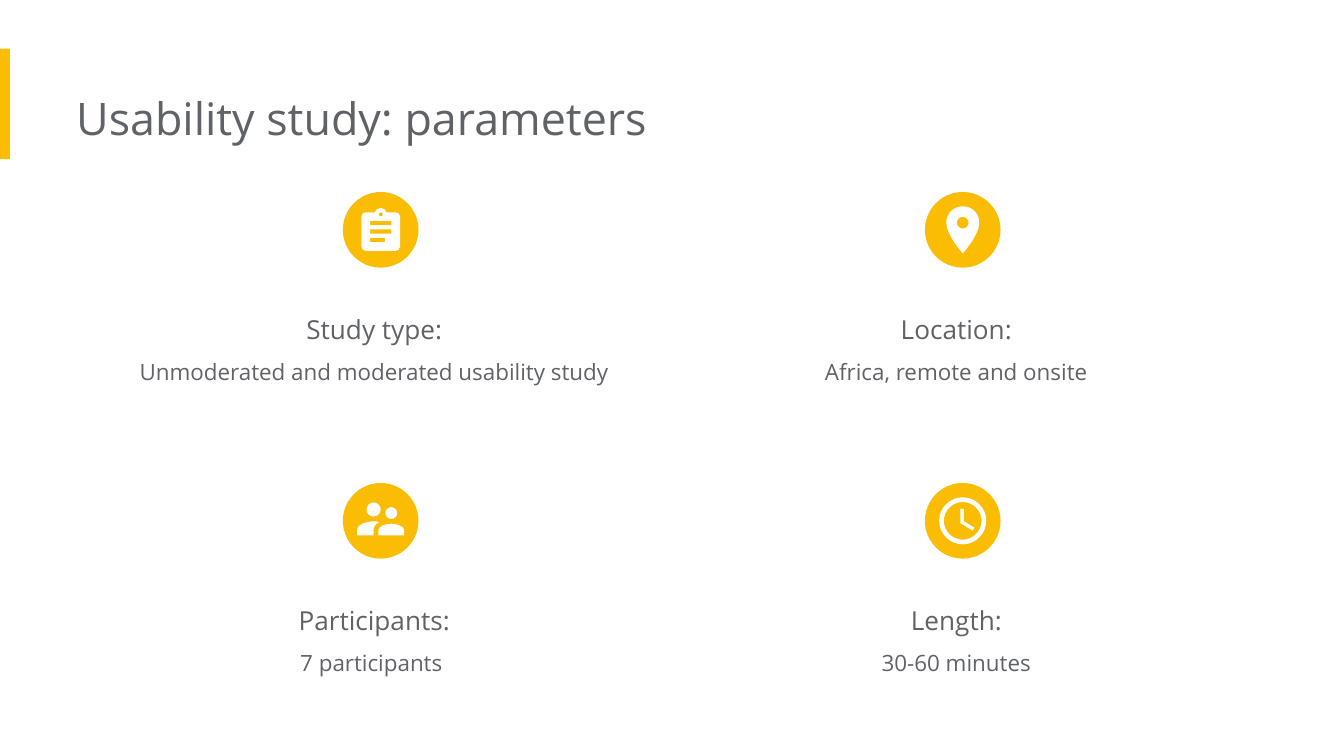
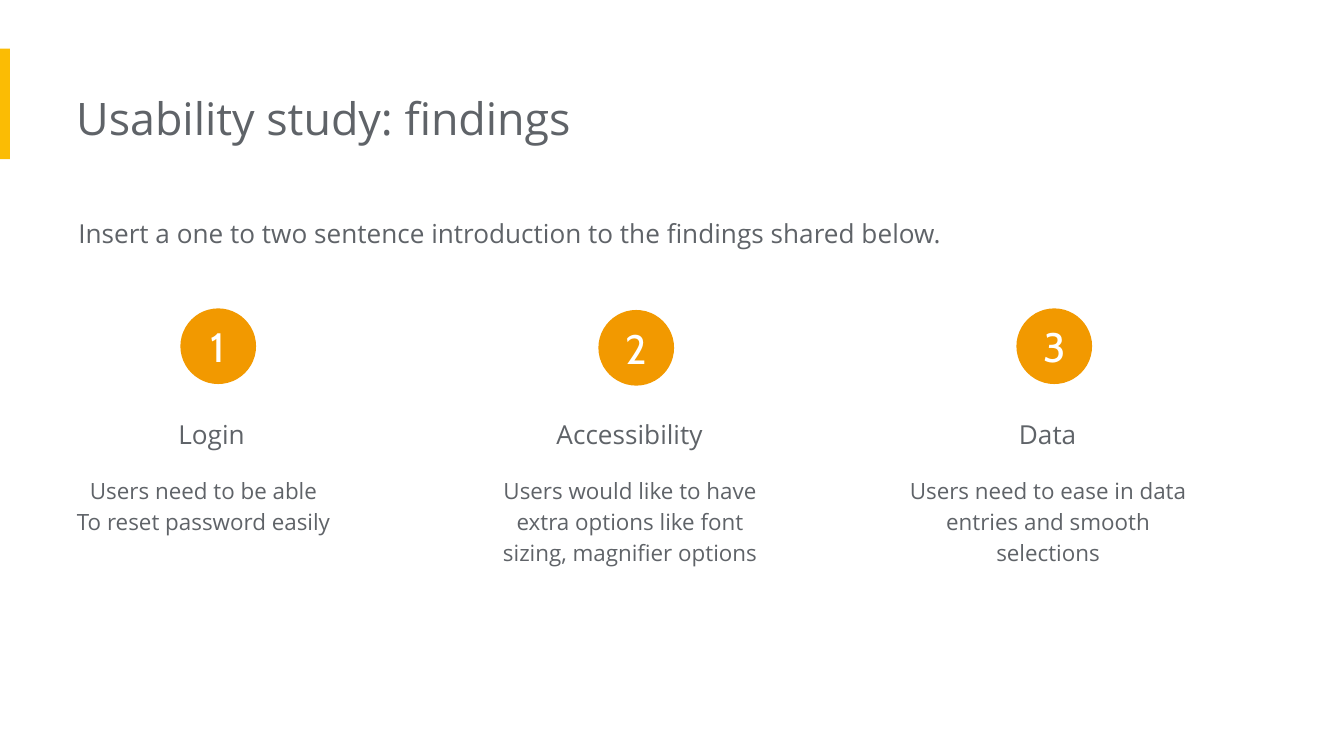
from lxml.etree import SubElement
from pptx import Presentation
from pptx.dml.color import RGBColor
from pptx.enum.shapes import MSO_SHAPE
from pptx.enum.text import MSO_ANCHOR, MSO_AUTO_SIZE, PP_ALIGN
from pptx.oxml.ns import qn
from pptx.util import Cm, Pt

YELLOW, ORANGE, GREY, WHITE = "FBBC04", "F29900", "5F6368", "FFFFFF"
BODY_FONT, NUMBER_FONT = "Open Sans", "Cabin"
BADGE = 1.43


def disc(x, y, r):
    k = 0.55 * r
    return [(x, y - r),
            (x + k, y - r, x + r, y - k, x + r, y),
            (x + r, y + k, x + k, y + r, x, y + r),
            (x - k, y + r, x - r, y + k, x - r, y),
            (x - r, y - k, x - k, y - r, x, y - r)]


def stripe(y, width):
    return [(7, y), (7 + width, y), (7 + width, y + 2), (7, y + 2)]


CLIPBOARD = (0.81 / 20, 11.2, [
    [(19, 3), (14.8, 3), (14.4, 1.8, 13.3, 1, 12, 1), (10.7, 1, 9.6, 1.8, 9.2, 3),
     (5, 3), (3.9, 3, 3, 3.9, 3, 5), (3, 19), (3, 20.1, 3.9, 21, 5, 21),
     (19, 21), (20.1, 21, 21, 20.1, 21, 19), (21, 5), (21, 3.9, 20.1, 3, 19, 3)],
    disc(12, 4, 1), stripe(7, 10), stripe(11, 10), stripe(15, 7)])
PIN = (0.89 / 20, 12, [
    [(12, 2), (8.1, 2, 5, 5.1, 5, 9), (5, 14.25, 12, 22, 12, 22),
     (12, 22, 19, 14.25, 19, 9), (19, 5.1, 15.9, 2, 12, 2)],
    disc(12, 9, 2.5)])
PEOPLE = (0.89 / 20, 12.8, [
    disc(16.5, 9.5, 2.5), disc(9, 8, 3),
    [(16.5, 14), (14.7, 14, 11, 14.9, 11, 16.75), (11, 19), (22, 19), (22, 16.75),
     (22, 14.9, 18.3, 14, 16.5, 14)],
    [(9, 13), (6.7, 13, 2, 14.2, 2, 16.5), (2, 19), (9, 19), (9, 16.75),
     (9, 15.9, 9.3, 14.4, 11.4, 13.3), (10.5, 13.1, 9.7, 13, 9, 13)]])
CLOCK = (0.89 / 20, 12, [
    disc(12, 12, 10), disc(12, 12, 8),
    [(11, 7), (11, 13), (16.25, 16.15), (17, 14.9), (12.5, 12.25), (12.5, 7)]])

PARAMETERS_TITLE = "Usability study: parameters"
PARAMETERS = [
    ("Study type:", "Unmoderated and moderated usability study", CLIPBOARD),
    ("Location:", "Africa, remote and onsite", PIN),
    ("Participants:", "7 participants ", PEOPLE),
    ("Length:", "30-60 minutes", CLOCK),
]
ROW_HEIGHTS = [2.18, 1.93]

FINDINGS_TITLE = "Usability study: findings"
INTRODUCTION = "Insert a one to two sentence introduction to the findings shared below."
FINDINGS = [
    {"topic": "Login", "need": ["Users need to be able", "To reset password easily"],
     "need_box": (1.22, 8.69, 5.51, 1.7), "badge_top": 5.83},
    {"topic": "Accessibility",
     "need": ["Users would like to have extra options like font sizing, magnifier options"],
     "need_box": (1.38, 8.7, 5.51, 2.29), "badge_top": 5.86},
    {"topic": "Data",
     "need": ["Users need to ease in data entries and smooth selections"],
     "need_box": (1.38, 8.7, 5.51, 2.29), "badge_top": 5.83},
]


def paint(shape, value):
    shape.shadow.inherit = False
    shape.fill.solid()
    shape.fill.fore_color.rgb = RGBColor.from_string(value)
    shape.line.fill.background()


def style(paragraph, size, value=GREY, font=BODY_FONT):
    for run in paragraph.runs:
        run.font.size = Pt(size)
        run.font.name = font
        run.font.color.rgb = RGBColor.from_string(value)


def add_preset(slide, preset, left, top, width, height, value):
    shape = slide.shapes.add_shape(preset, Cm(left), Cm(top), Cm(width), Cm(height))
    paint(shape, value)
    return shape


def add_text(slide, box, lines, align=PP_ALIGN.LEFT, spacing=1.0):
    frame = slide.shapes.add_textbox(*map(Cm, box)).text_frame
    frame.word_wrap = True
    frame.auto_size = MSO_AUTO_SIZE.SHAPE_TO_FIT_TEXT
    frame.margin_left = 0
    frame.margin_right = frame.margin_top = frame.margin_bottom = Cm(0.25)
    frame.text = "\n".join(text for text, size in lines)
    for paragraph, (text, size) in zip(frame.paragraphs, lines):
        paragraph.alignment = align
        paragraph.line_spacing = spacing
        style(paragraph, size)


def bend(shape, segments):
    lines = list(shape.element.iter(qn("a:lnTo")))
    for line, points in zip(lines, segments):
        if len(points) == 1:
            continue
        curve = line.makeelement(qn("a:cubicBezTo"))
        for x, y in points:
            SubElement(curve, qn("a:pt"), x=str(x - shape.left), y=str(y - shape.top))
        line.getparent().replace(line, curve)


def add_icon(slide, center_x, center_y, icon):
    unit, middle, contours = icon
    builder, segments = None, []
    for contour in contours:
        steps = [[(Cm(center_x + (x - 12) * unit), Cm(center_y + (y - middle) * unit))
                  for x, y in zip(step[::2], step[1::2])] for step in contour]
        start = steps[0][0]
        if builder is None:
            builder = slide.shapes.build_freeform(*start)
        else:
            builder.move_to(*start)
        builder.add_line_segments([step[-1] for step in steps[1:]], close=True)
        segments += steps[1:]
    shape = builder.convert_to_shape()
    bend(shape, segments)
    paint(shape, WHITE)


def add_titled_slide(deck, title):
    slide = deck.slides.add_slide(deck.slide_layouts[6])
    add_preset(slide, MSO_SHAPE.RECTANGLE, 0, 0.92, 0.19, 2.09, YELLOW)
    add_text(slide, (1.44, 1.46, 17.1, 1.55), [(title, 24)])
    return slide


def build_parameters(deck):
    slide = add_titled_slide(deck, PARAMETERS_TITLE)
    for index, (label, value, icon) in enumerate(PARAMETERS):
        row, column = divmod(index, 2)
        right, down = column * 11, row * 5.5
        add_text(slide, (2.41 + right, 5.37 + down, 9.58, ROW_HEIGHTS[row]),
                 [(label, 14), (value, 12)], PP_ALIGN.CENTER, 1.5)
        left, top = 6.48 + right, 3.63 + down
        add_preset(slide, MSO_SHAPE.OVAL, left, top, BADGE, BADGE, YELLOW)
        add_icon(slide, left + BADGE / 2, top + BADGE / 2, icon)


def build_findings(deck):
    slide = add_titled_slide(deck, FINDINGS_TITLE)
    add_text(slide, (1.48, 3.77, 18.03, 1.12), [(INTRODUCTION, 14)], spacing=1.15)
    for index, finding in enumerate(FINDINGS):
        right = index * 7.9
        add_text(slide, (1.52 + right, 7.37, 5.21, 1.42), [(finding["topic"], 14)],
                 PP_ALIGN.CENTER, 1.5)
        left, top, width, height = finding["need_box"]
        add_text(slide, (left + right, top, width, height),
                 [(line, 12) for line in finding["need"]], PP_ALIGN.CENTER, 1.15)
        badge = add_preset(slide, MSO_SHAPE.OVAL, 3.41 + right, finding["badge_top"],
                           BADGE, BADGE, ORANGE)
        frame = badge.text_frame
        frame.margin_left = frame.margin_right = frame.margin_top = frame.margin_bottom = 0
        frame.vertical_anchor = MSO_ANCHOR.MIDDLE
        frame.text = str(index + 1)
        frame.paragraphs[0].alignment = PP_ALIGN.CENTER
        style(frame.paragraphs[0], 22, WHITE, NUMBER_FONT)


def main():
    deck = Presentation()
    deck.slide_width, deck.slide_height = Cm(25.4), Cm(14.29)
    build_parameters(deck)
    build_findings(deck)
    deck.save("out.pptx")


if __name__ == "__main__":
    main()
